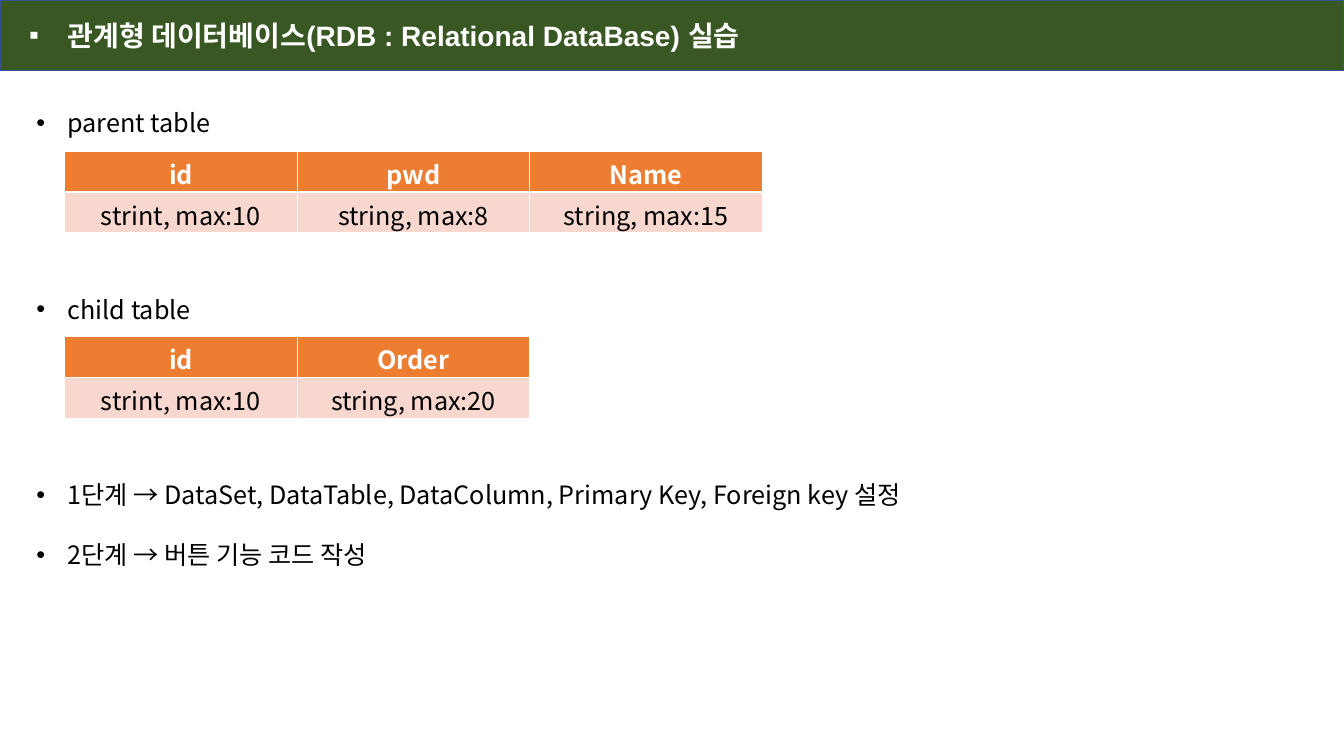
from dataclasses import dataclass

from lxml import etree
from pptx import Presentation
from pptx.dml.color import RGBColor
from pptx.enum.text import MSO_ANCHOR, MSO_AUTO_SIZE, PP_ALIGN
from pptx.oxml.ns import qn
from pptx.util import Cm, Pt

TOP, MIDDLE = MSO_ANCHOR.TOP, MSO_ANCHOR.MIDDLE
LEFT, CENTER = PP_ALIGN.LEFT, PP_ALIGN.CENTER
NO_FIT = MSO_AUTO_SIZE.NONE
COMPARISON = 4  # layout with a title and four text areas


@dataclass(frozen=True)
class Theme:
    banner: RGBColor = RGBColor.from_string("385723")
    edge: RGBColor = RGBColor.from_string("325491")
    head: RGBColor = RGBColor.from_string("ED7D31")
    row: RGBColor = RGBColor.from_string("F8D7CE")
    light: RGBColor = RGBColor.from_string("FFFFFF")
    dark: RGBColor = RGBColor.from_string("000000")
    latin: str = "Arial"
    hangul: str = "Noto Sans CJK KR"
    title: Pt = Pt(20)
    text: Pt = Pt(18)
    line: Pt = Pt(21.5)


THEME = Theme()


def place(shape, left, top, width, height):
    shape.left, shape.top = Cm(left), Cm(top)
    shape.width, shape.height = Cm(width), Cm(height)


def add_run(para, text, size, color, bold=False, face=THEME.hangul):
    run = para.add_run()
    run.text = text
    font = run.font
    font.size, font.bold, font.name = size, bold, face
    font.color.rgb = color
    props = run._r.get_or_add_rPr()
    etree.SubElement(props, qn("a:ea"), typeface=THEME.hangul)


def set_bullet(para, mark, left, hang):
    """Give the paragraph a bullet mark and a hanging indent."""
    props = para._p.get_or_add_pPr()
    props.set("marL", str(Cm(left)))
    props.set("indent", str(-Cm(hang)))
    etree.SubElement(props, qn("a:buFont"), typeface=THEME.latin)
    etree.SubElement(props, qn("a:buChar"), char=mark)


def fill_title(shape, text):
    place(shape, 0, 0, 33.87, 1.78)
    shape.fill.solid()
    shape.fill.fore_color.rgb = THEME.banner
    shape.line.color.rgb = THEME.edge
    shape.line.width = Pt(1)
    frame = shape.text_frame
    frame.auto_size, frame.vertical_anchor = NO_FIT, MIDDLE
    para = frame.paragraphs[0]
    para.alignment = LEFT
    set_bullet(para, "▪", 1.45, 0.97)
    add_run(para, text, THEME.title, THEME.light, True, THEME.latin)


def fill_list(shape, items, top, width, height):
    place(shape, 0.66, top, width, height)
    frame = shape.text_frame
    frame.auto_size, frame.vertical_anchor = NO_FIT, TOP
    frame.word_wrap = True
    frame.margin_top = Cm(0.17)
    for i, item in enumerate(items):
        para = frame.add_paragraph() if i else frame.paragraphs[0]
        para.alignment = LEFT
        para.line_spacing = THEME.line
        para.space_before = THEME.line if i else Pt(0)
        set_bullet(para, "•", 0.79, 0.79)
        add_run(para, item, THEME.text, THEME.dark)


def add_grid(slide, rows, top):
    """Add a table with a header row and equal columns."""
    count, wide, high = len(rows[0]), 5.86, 1.03
    table = slide.shapes.add_table(
        len(rows), count, Cm(1.63), Cm(top),
        Cm(wide * count), Cm(high * len(rows))).table
    for r, row in enumerate(rows):
        table.rows[r].height = Cm(high)
        head = r == 0
        for c, text in enumerate(row):
            table.columns[c].width = Cm(wide)
            cell = table.cell(r, c)
            cell.fill.solid()
            cell.fill.fore_color.rgb = THEME.head if head else THEME.row
            cell.vertical_anchor = MIDDLE
            cell.margin_top, cell.margin_bottom = Cm(0.25), Cm(0)
            para = cell.text_frame.paragraphs[0]
            para.alignment = CENTER
            para.line_spacing = THEME.line
            color = THEME.light if head else THEME.dark
            add_run(para, text, THEME.text, color, head)


def main():
    deck = Presentation()
    deck.slide_width, deck.slide_height = Cm(33.87), Cm(19.05)
    slide = deck.slides.add_slide(deck.slide_layouts[COMPARISON])
    title, parent, child, steps, spare = slide.placeholders
    spare.element.getparent().remove(spare.element)

    fill_title(title, "관계형 데이터베이스(RDB : Relational DataBase) 실습")
    fill_list(parent, ["parent table"], 2.54, 16.74, 1.02)
    add_grid(slide, [
        ["id", "pwd", "Name"],
        ["strint, max:10", "string, max:8", "string, max:15"],
    ], 3.81)
    fill_list(child, ["child table"], 7.24, 16.74, 1.02)
    add_grid(slide, [
        ["id", "Order"],
        ["strint, max:10", "string, max:20"],
    ], 8.48)
    fill_list(steps, [
        "1단계 → DataSet, DataTable, DataColumn, Primary Key, Foreign key 설정",
        "2단계 → 버튼 기능 코드 작성",
    ], 11.91, 31.95, 2.57)
    deck.save("out.pptx")


if __name__ == "__main__":
    main()
